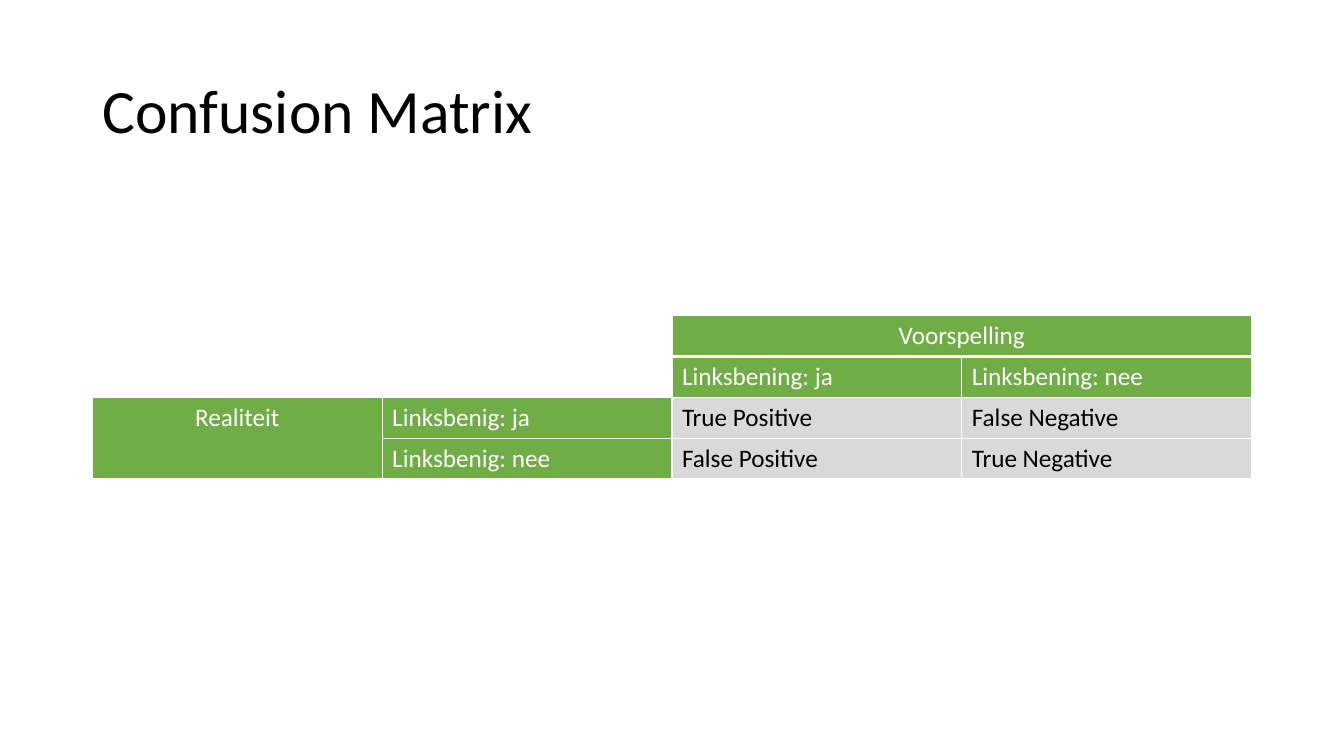
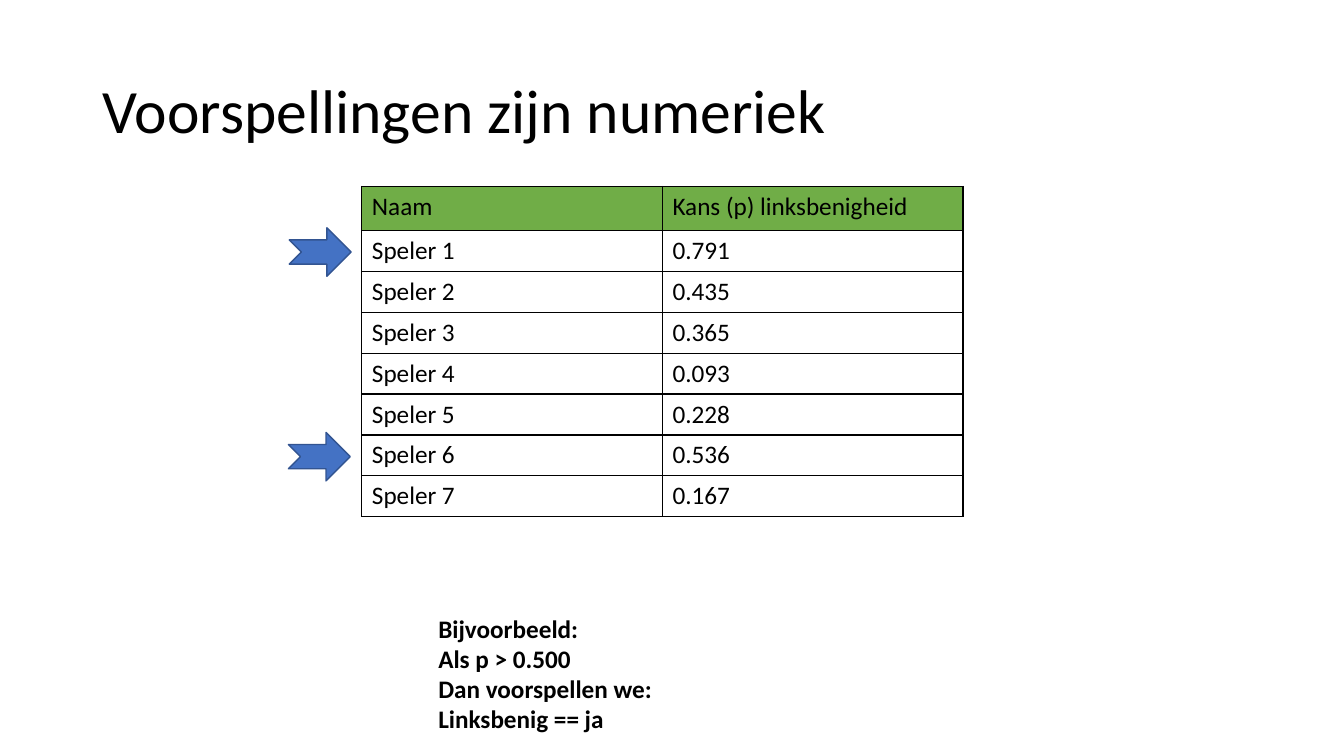
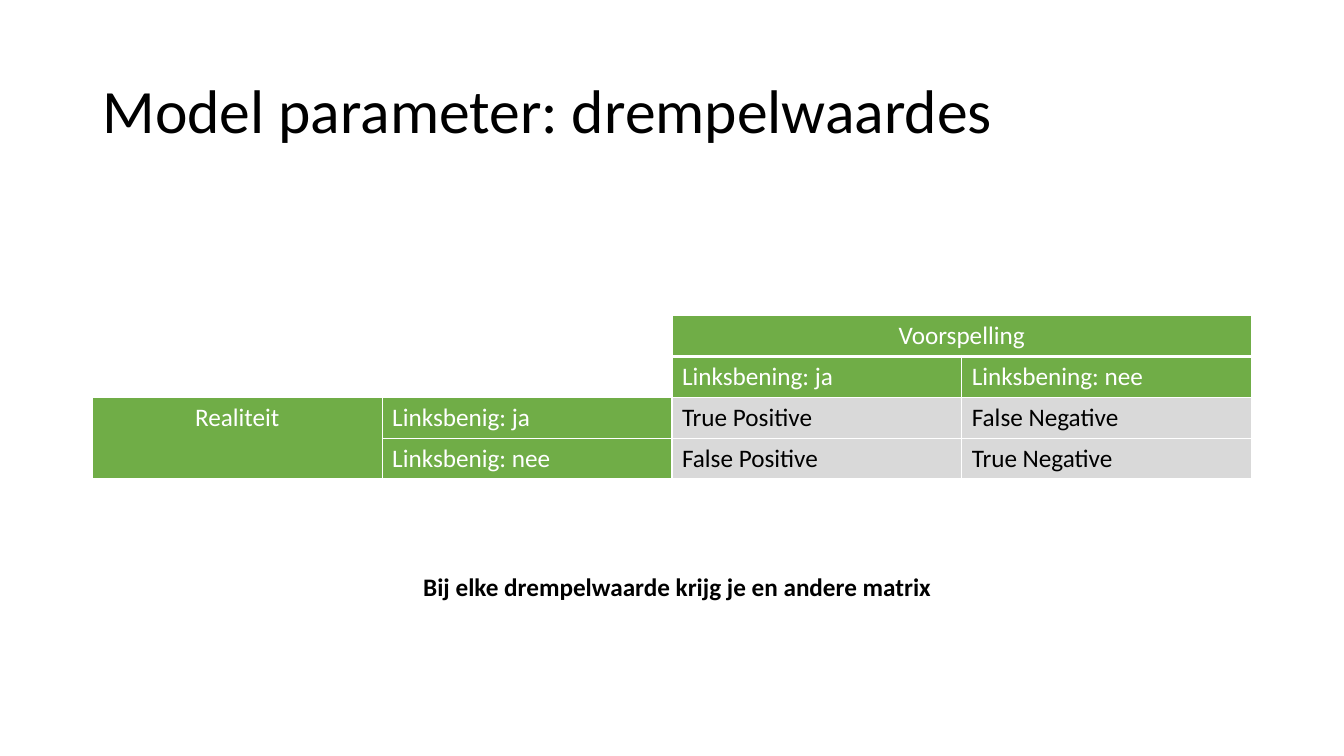
from lxml import etree
from pptx import Presentation
from pptx.dml.color import RGBColor
from pptx.enum import shapes, text
from pptx.oxml.ns import qn
from pptx.util import Pt

COLORS = {
    "black": "000000", "white": "FFFFFF", "green": "70AD47",
    "grey": "D9D9D9", "blue": "4472C4", "navy": "325491",
}
FONT = "Calibri"
LEFT, CONTENT_W = 66, 828
ROW_H = 29.2


def write(tf, content, size=18, color="black", bold=False,
          align=text.PP_ALIGN.LEFT, spacing=None):
    """Fill a text frame, one paragraph per line of content."""
    for i, line in enumerate(content.split("\n")):
        p = tf.paragraphs[0] if i == 0 else tf.add_paragraph()
        p.alignment = align
        p.line_spacing = spacing
        r = p.add_run()
        r.text = line
        r.font.name, r.font.size, r.font.bold = FONT, Pt(size), bold
        r.font.color.rgb = RGBColor.from_string(COLORS[color])


def style_cell(cell, fill, line, top=1, bottom=1):
    """Set a cell's fill and its four borders, with widths in points."""
    tc_pr = cell._tc.get_or_add_tcPr()
    for side, width in (("L", 1), ("R", 1), ("T", top), ("B", bottom)):
        ln = etree.SubElement(tc_pr, qn(f"a:ln{side}"), w=str(Pt(width)))
        solid = etree.SubElement(ln, qn("a:solidFill"))
        etree.SubElement(solid, qn("a:srgbClr"), val=COLORS[line])
    if fill:
        cell.fill.solid()
        cell.fill.fore_color.rgb = RGBColor.from_string(COLORS[fill])
    else:
        cell.fill.background()


prs = Presentation()
prs.slide_width, prs.slide_height = Pt(960), Pt(540)

# Shared title position and anchoring
layout = prs.slide_layouts.get_by_name("Title Only")
title = layout.placeholders[0]
title.left, title.top, title.width, title.height = Pt(LEFT), Pt(28.75), Pt(CONTENT_W), Pt(104.4)
title.text_frame.vertical_anchor = text.MSO_ANCHOR.MIDDLE
title.text_frame.auto_size = text.MSO_AUTO_SIZE.NONE

slides = []
for heading in ("Confusion Matrix", "Voorspellingen zijn numeriek",
                "Model parameter: drempelwaardes"):
    s = prs.slides.add_slide(layout)
    write(s.shapes.title.text_frame, heading, size=44, spacing=0.9)
    slides.append(s)
matrix_slide, chances_slide, threshold_slide = slides

# Confusion matrix, on the first and last slide
matrix = [
    ["", "", "Voorspelling", ""],
    ["", "", "Linksbening: ja", "Linksbening: nee"],
    ["Realiteit", "Linksbenig: ja", "True Positive", "False Negative"],
    ["", "Linksbenig: nee", "False Positive", "True Negative"],
]
for s in (matrix_slide, threshold_slide):
    table = s.shapes.add_table(4, 4, Pt(LEFT), Pt(225.4), Pt(CONTENT_W), Pt(4 * ROW_H)).table
    table.first_row = table.horz_banding = False
    for i, row in enumerate(matrix):
        for j, label in enumerate(row):
            cell = table.cell(i, j)
            is_corner, is_result = i < 2 and j < 2, i >= 2 and j >= 2
            fill = None if is_corner else "grey" if is_result else "green"
            style_cell(cell, fill, "white", top=3 if i == 1 else 1, bottom=3 if i == 0 else 1)
            if label:
                is_group = label in ("Voorspelling", "Realiteit")
                write(cell.text_frame, label, color="black" if is_result else "white",
                      align=text.PP_ALIGN.CENTER if is_group else text.PP_ALIGN.LEFT)
    table.cell(0, 2).merge(table.cell(0, 3))
    table.cell(2, 0).merge(table.cell(3, 0))

# Predicted chances
chances = ["0.791", "0.435", "0.365", "0.093", "0.228", "0.536", "0.167"]
rows = [("Naam", "Kans (p) linksbenigheid")]
rows += [(f"Speler {n}", chance) for n, chance in enumerate(chances, 1)]
header_h = 31.5
table = chances_slide.shapes.add_table(
    len(rows), 2, Pt(258.5), Pt(133.2), Pt(429.4), Pt(len(rows) * ROW_H)).table
table.first_row = table.horz_banding = False
for i, row in enumerate(rows):
    table.rows[i].height = Pt(ROW_H if i else header_h)
    for j, label in enumerate(row):
        cell = table.cell(i, j)
        style_cell(cell, None if i else "green", "black")
        write(cell.text_frame, label)

# Arrows at the players above the threshold
for left, top in ((206.6, 162.7), (206, 308.9)):
    sp = chances_slide.shapes.add_shape(
        shapes.MSO_SHAPE.NOTCHED_RIGHT_ARROW, Pt(left), Pt(top), Pt(44.2), Pt(34.6))
    sp.shadow.inherit = False
    sp.fill.solid()
    sp.fill.fore_color.rgb = RGBColor.from_string(COLORS["blue"])
    sp.line.color.rgb = RGBColor.from_string(COLORS["navy"])
    sp.line.width = Pt(1)

# Bold remarks
remarks = [
    (chances_slide, (306, 434.2, 234.7, 94.5), True,
     "Bijvoorbeeld:\nAls p > 0.500\nDan voorspellen we:\nLinksbenig == ja"),
    (threshold_slide, (295.2, 404.6, 380.2, 29.1), False,
     "Bij elke drempelwaarde krijg je en andere matrix"),
]
for s, box, wrap, remark in remarks:
    tf = s.shapes.add_textbox(*map(Pt, box)).text_frame
    tf.word_wrap = wrap
    tf.auto_size = text.MSO_AUTO_SIZE.SHAPE_TO_FIT_TEXT
    write(tf, remark, bold=True)

prs.save("out.pptx")
